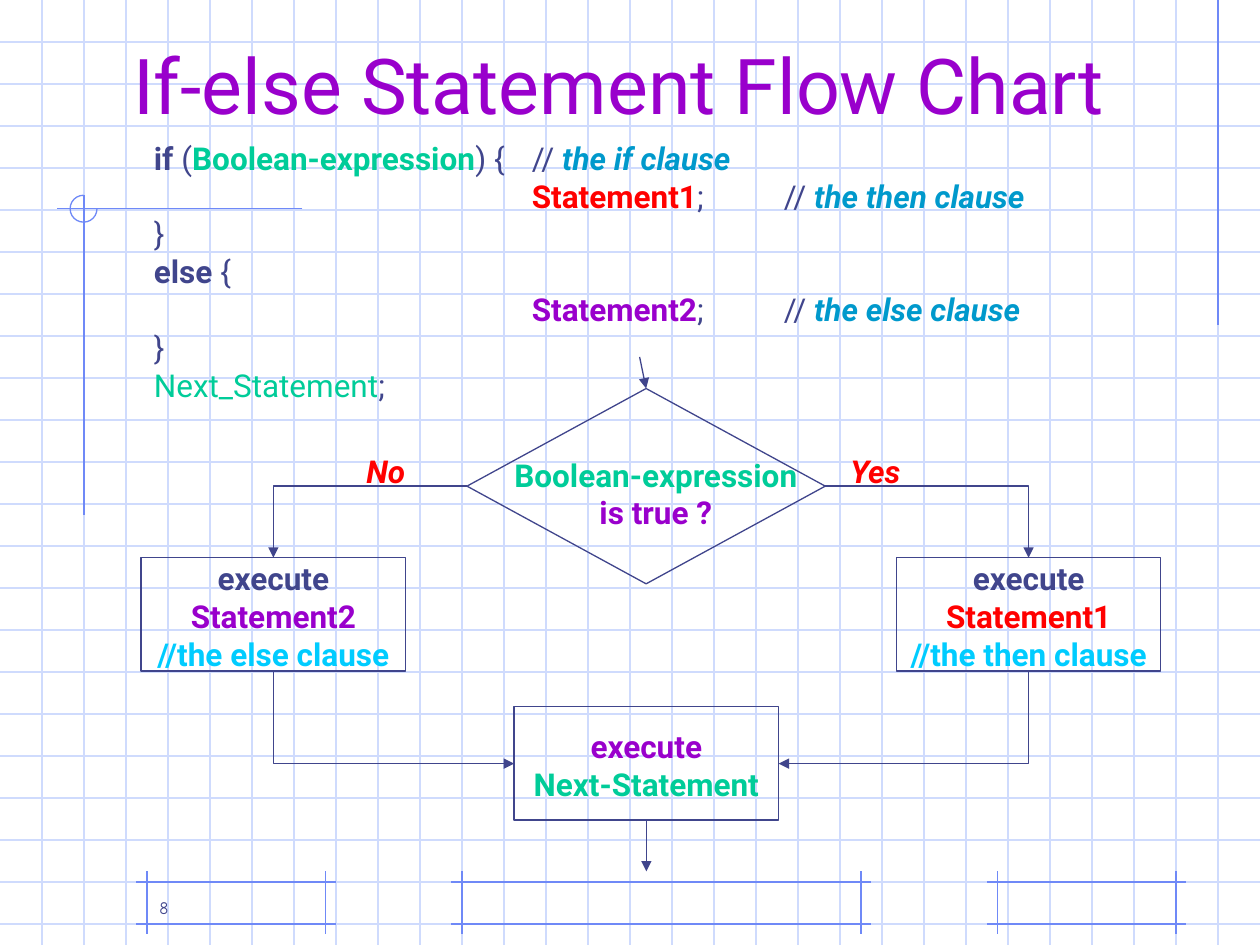
from lxml.etree import SubElement
from pptx import Presentation
from pptx.dml.color import RGBColor
from pptx.enum.shapes import MSO_CONNECTOR as CONN, MSO_SHAPE as SHAPE
from pptx.enum.text import MSO_ANCHOR as ANCHOR, MSO_AUTO_SIZE as AUTO, PP_ALIGN as ALIGN
from pptx.oxml.ns import qn
from pptx.util import Inches, Pt

COLORS = {
    "grid": "CFDBFD", "frame": "6F89F7", "ink": "40458C", "purple": "9900CC",
    "green": "00CC99", "red": "FF0000", "blue": "0099CC", "cyan": "00CCFF",
}
COLS, ROWS = 30, 22.5
TOP, LEFT, BOTTOM, RIGHT = range(4)
BOX_W, BOX_H = 6.3, 2.7
CODE_TABS = (9, 15)

CODE = [
    [("if", "ink", "b"), (" (", "ink", ""), ("Boolean-expression", "green", "b"),
     (") {\t// ", "ink", ""), ("the if clause", "blue", "bi")],
    [("\t", "ink", ""), ("Statement1", "red", "b"), (";\t// ", "ink", ""),
     ("the then clause", "blue", "bi")],
    [("}", "ink", "")],
    [("else", "ink", "b"), (" {", "ink", "")],
    [("\t", "ink", ""), ("Statement2", "purple", "b"), (";\t//", "ink", ""),
     (" the else clause", "blue", "bi")],
    [("}", "ink", "")],
    [("Next_Statement", "green", ""), (";", "ink", "")],
]
LABELS = [
    ((11.64, 10.7, 7.95, 2.1), "b",
     [("Boolean-expression", "green"), ("is true ?", "purple")]),
    ((21, 13.17, 6.99, 3), "b",
     [("execute", "ink"), ("Statement1", "red"), ("//the then clause", "cyan")]),
    ((12.09, 17.16, 6.6, 2.1), "b",
     [("execute", "purple"), ("Next-Statement", "green")]),
    ((3.15, 13.17, 6.72, 3), "b",
     [("execute", "ink"), ("Statement2", "purple"), ("//the else clause", "cyan")]),
    ((8.43, 10.62, 1.59, 1.2), "bi", [("No", "red")]),
    ((19.95, 10.62, 1.8, 1.2), "bi", [("Yes", "red")]),
]


def cells(*values):
    return [Inches(v / 3) for v in values]


def rgb(name):
    return RGBColor.from_string(COLORS[name])


def add_line(s, start, end, color, arrow=False, kind=CONN.STRAIGHT):
    c = s.shapes.add_connector(kind, *cells(*start, *end))
    c.line.color.rgb = rgb(color)
    c.line.width = Pt(0.75)
    if arrow:
        SubElement(c.line._get_or_add_ln(), qn("a:tailEnd"), type="triangle")
    SubElement(c._element.spPr, qn("a:effectLst"))
    return c


def add_outline(s, kind, box, color):
    sp = s.shapes.add_shape(kind, *cells(*box))
    sp.shadow.inherit = False
    sp.fill.background()
    sp.line.color.rgb = rgb(color)
    sp.line.width = Pt(0.75)
    return sp


def add_elbow(s, source, source_side, target, target_side):
    c = add_line(s, (0, 0), (1, 1), "ink", True, CONN.ELBOW)
    c.begin_connect(source, source_side)
    c.end_connect(target, target_side)
    c._element.spPr.find(qn("a:prstGeom")).set("prst", "bentConnector2")
    if source_side == BOTTOM:
        turn_downward(c)


def turn_downward(c):
    dx, dy = c.end_x - c.begin_x, c.end_y - c.begin_y
    mid_x, mid_y = (c.begin_x + c.end_x) // 2, (c.begin_y + c.end_y) // 2
    c.left, c.top = mid_x - dy // 2, mid_y - abs(dx) // 2
    c.width, c.height = dy, abs(dx)
    xfrm = c._element.spPr.find(qn("a:xfrm"))
    xfrm.set("flipH", "1" if dx > 0 else "0")
    xfrm.set("rot", str((270 if dx > 0 else 90) * 60000))


def add_text(s, box, lines, size, font="Roboto", align=ALIGN.LEFT,
             anchor=ANCHOR.TOP, wrap=False):
    tf = s.shapes.add_textbox(*cells(*box)).text_frame
    tf.word_wrap = wrap
    tf.auto_size = AUTO.NONE if wrap else AUTO.SHAPE_TO_FIT_TEXT
    tf.vertical_anchor = anchor
    for i, runs in enumerate(lines):
        p = tf.add_paragraph() if i else tf.paragraphs[0]
        p.alignment = align
        p.font.size = Pt(size)
        p.font.name = font
        for text, color, style in runs:
            r = p.add_run()
            r.text = text
            r.font.color.rgb = rgb(color)
            r.font.bold = "b" in style
            r.font.italic = "i" in style
    return tf


def add_code(s):
    tf = add_text(s, (3.37, 3.16, 21.81, 6.6), CODE, 18, wrap=True)
    for p in tf.paragraphs:
        pPr = p._p.get_or_add_pPr()
        tabs = pPr.makeelement(qn("a:tabLst"))
        for stop in cells(*CODE_TABS):
            SubElement(tabs, qn("a:tab"), pos=str(int(stop)), algn="l")
        pPr.find(qn("a:defRPr")).addprevious(tabs)


def add_frame(s, left, right, top=21, bottom=22, over=0.25):
    for y in (top, bottom):
        add_line(s, (left - over, y), (right + over, y), "frame")
    for x in (left, right):
        add_line(s, (x, top - over), (x, bottom + over), "frame")


def add_background(s):
    for row in range(1, int(ROWS) + 1):
        add_line(s, (0, row), (COLS, row), "grid")
    for col in range(1, COLS):
        add_line(s, (col, 0), (col, ROWS), "grid")
    for left, right in ((11, 20.5), (23.75, 28), (3.5, 7.75)):
        add_frame(s, left, right)
    add_line(s, (29, 0), (29, 7.75), "frame")
    add_line(s, (7.2, 4.97), (1.35, 4.97), "frame")
    add_line(s, (2, 4.65), (2, 12.27), "frame")
    arc = add_outline(s, SHAPE.ARC, (1.67, 4.65, 0.64, 0.64), "frame")
    arc.adjustments[0] = 0
    arc.adjustments[1] = 162


def add_flow_chart(s):
    decision = add_outline(s, SHAPE.FLOWCHART_DECISION, (11.12, 9.25, 8.53, 4.65), "ink")
    then_box, next_box, else_box = [
        add_outline(s, SHAPE.RECTANGLE, (x, y, BOX_W, BOX_H), "ink")
        for x, y in ((21.34, 13.28), (12.24, 16.83), (3.36, 13.28))
    ]
    for box, style, lines in LABELS:
        align = ALIGN.CENTER if len(lines) > 1 else ALIGN.LEFT
        add_text(s, box, [[(text, color, style)] for text, color in lines], 18, align=align)
    for branch, side in ((else_box, LEFT), (then_box, RIGHT)):
        add_elbow(s, decision, side, branch, TOP)
        add_elbow(s, branch, BOTTOM, next_box, side)
    add_line(s, (15.23, 8.5), (15.39, 9.25), "ink", True).end_connect(decision, TOP)
    add_line(s, (15.39, 19.53), (15.39, 20.75), "ink", True).begin_connect(next_box, BOTTOM)


def main():
    prs = Presentation()
    prs.slide_width, prs.slide_height = cells(COLS, ROWS)
    s = prs.slides.add_slide(prs.slide_layouts[6])
    add_background(s)
    add_text(s, (2, 0.5, 25.5, 2.75), [[("If-else Statement Flow Chart", "purple", "")]],
             44, align=ALIGN.CENTER, anchor=ANCHOR.BOTTOM, wrap=True)
    add_code(s)
    add_flow_chart(s)
    add_text(s, (3.5, 20.5, 6.25, 1.5), [[("8", "ink", "")]], 10, font="Comic Neue",
             anchor=ANCHOR.BOTTOM, wrap=True)
    prs.save("out.pptx")


if __name__ == "__main__":
    main()
